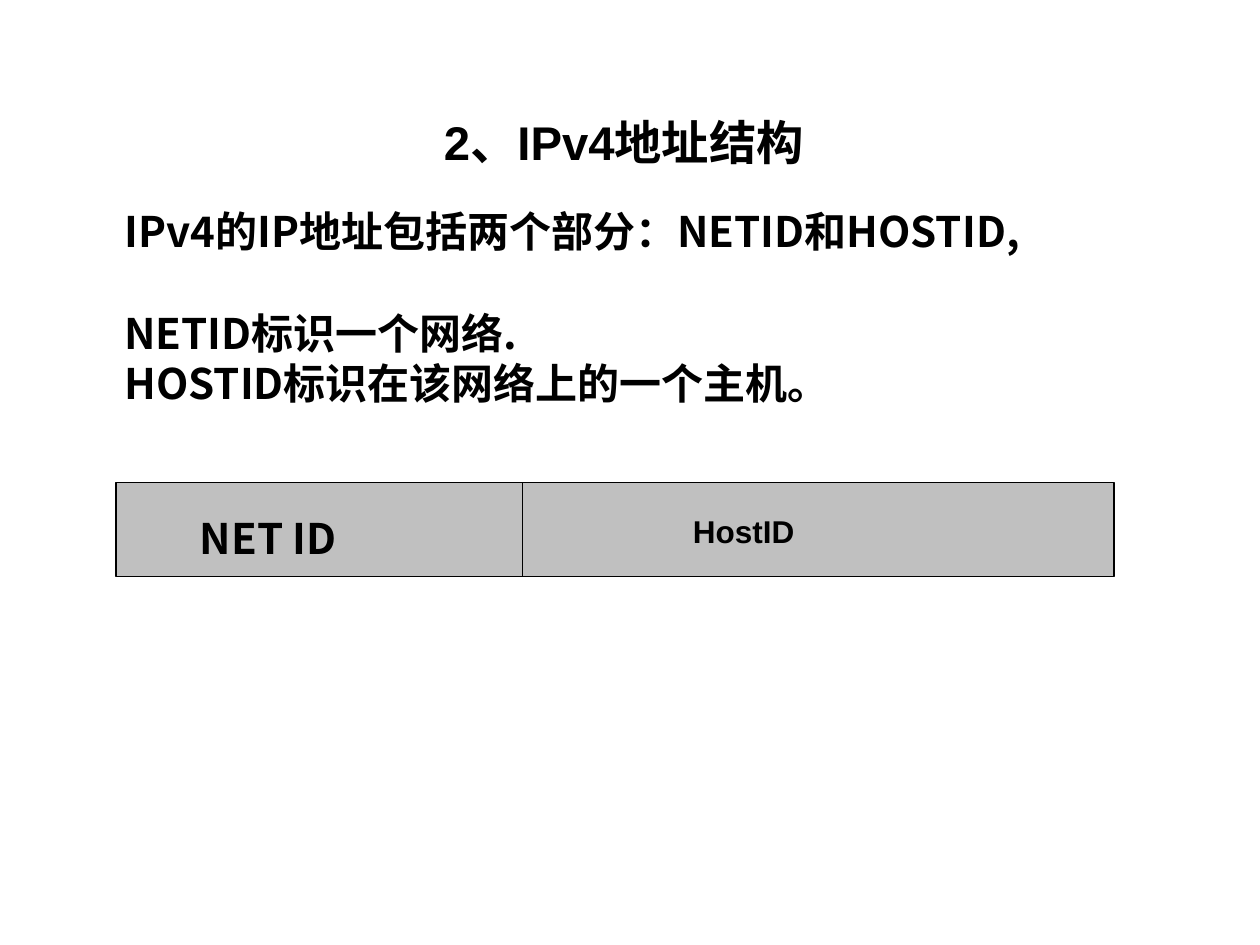
from lxml.etree import SubElement
from pptx import Presentation
from pptx.dml.color import RGBColor
from pptx.enum.shapes import MSO_CONNECTOR, MSO_SHAPE
from pptx.enum.text import MSO_ANCHOR, PP_ALIGN
from pptx.oxml.ns import qn
from pptx.util import Cm, Pt

COLORS = {"ink": "000000", "field": "C0C0C0"}
LATIN, CJK = "Arial", "Noto Sans CJK SC"
LINE_PITCH = 29

HEADING = "2、IPv4地址结构"
# Each line: text, space before in points
EXPLANATION = [
    ("IPv4的IP地址包括两个部分：NETID和HOSTID,", 0),
    ("NETID标识一个网络.", LINE_PITCH),
    ("HOSTID标识在该网络上的一个主机。", 0),
]
# Each label: text, font, size, line pitch, (left, top, width, height) in cm
FIELD_LABELS = [
    ("NET ID", CJK, 24, LINE_PITCH, (3.78, 10.13, 4.45, 1.27)),
    ("HostID", LATIN, 18, None, (13.72, 10.13, 4.06, 1.78)),
]
EXPLANATION_BOX = (2.26, 3.94, 22.43, 4.32)
HEADING_BOX = (3.38, 2.11, 18.39, 1.47)
ADDRESS_BOX = (2.34, 9.73, 20.12, 1.9)
DIVIDER_X = 10.54


def color(name):
    return RGBColor.from_string(COLORS[name])


def place(box):
    return [Cm(length) for length in box]


def add_bold_run(paragraph, text, face, size):
    run = paragraph.add_run()
    run.text = text
    run.font.name = face
    run.font.size = Pt(size)
    run.font.bold = True
    run.font.color.rgb = color("ink")
    SubElement(run.font._element, qn("a:ea")).set("typeface", CJK)


def add_text(slide, box, lines, face, size, pitch):
    """Add a text box of (text, space before) lines with an optional fixed pitch."""
    frame = slide.shapes.add_textbox(*place(box)).text_frame
    frame.word_wrap = True
    frame.margin_top = Cm(0.2)
    for index, (text, gap) in enumerate(lines):
        paragraph = frame.add_paragraph() if index else frame.paragraphs[0]
        paragraph.space_before = Pt(gap)
        if pitch:
            paragraph.line_spacing = Pt(pitch)
        add_bold_run(paragraph, text, face, size)


def add_heading(slide):
    title = slide.shapes.title
    title.left, title.top, title.width, title.height = place(HEADING_BOX)
    title.text_frame.vertical_anchor = MSO_ANCHOR.MIDDLE
    paragraph = title.text_frame.paragraphs[0]
    paragraph.alignment = PP_ALIGN.CENTER
    add_bold_run(paragraph, HEADING, LATIN, 27)


def add_address_bar(slide):
    address = slide.shapes.add_shape(MSO_SHAPE.RECTANGLE, *place(ADDRESS_BOX))
    address.shadow.inherit = False
    address.fill.solid()
    address.fill.fore_color.rgb = color("field")
    divider = slide.shapes.add_connector(
        MSO_CONNECTOR.STRAIGHT, Cm(DIVIDER_X), address.top,
        Cm(DIVIDER_X), address.top + address.height)
    SubElement(divider._element.spPr, qn("a:effectLst"))
    for outline in (address.line, divider.line):
        outline.color.rgb = color("ink")
        outline.width = Pt(0.75)


def main():
    deck = Presentation()
    deck.slide_width, deck.slide_height = Cm(25.4), Cm(19.05)
    slide = deck.slides.add_slide(deck.slide_layouts.get_by_name("Title Only"))
    add_heading(slide)
    add_text(slide, EXPLANATION_BOX, EXPLANATION, CJK, 24, LINE_PITCH)
    add_address_bar(slide)
    for text, face, size, pitch, box in FIELD_LABELS:
        add_text(slide, box, [(text, 0)], face, size, pitch)
    deck.save("out.pptx")


if __name__ == "__main__":
    main()
